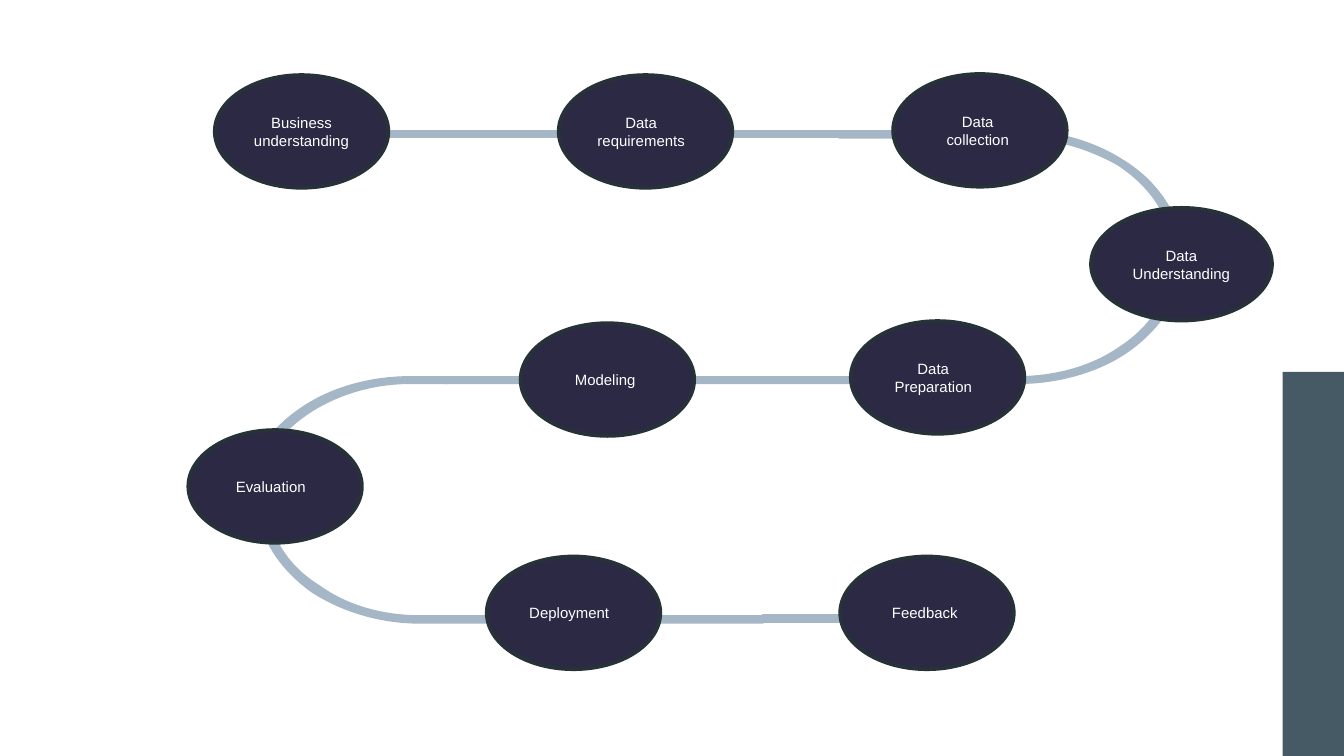
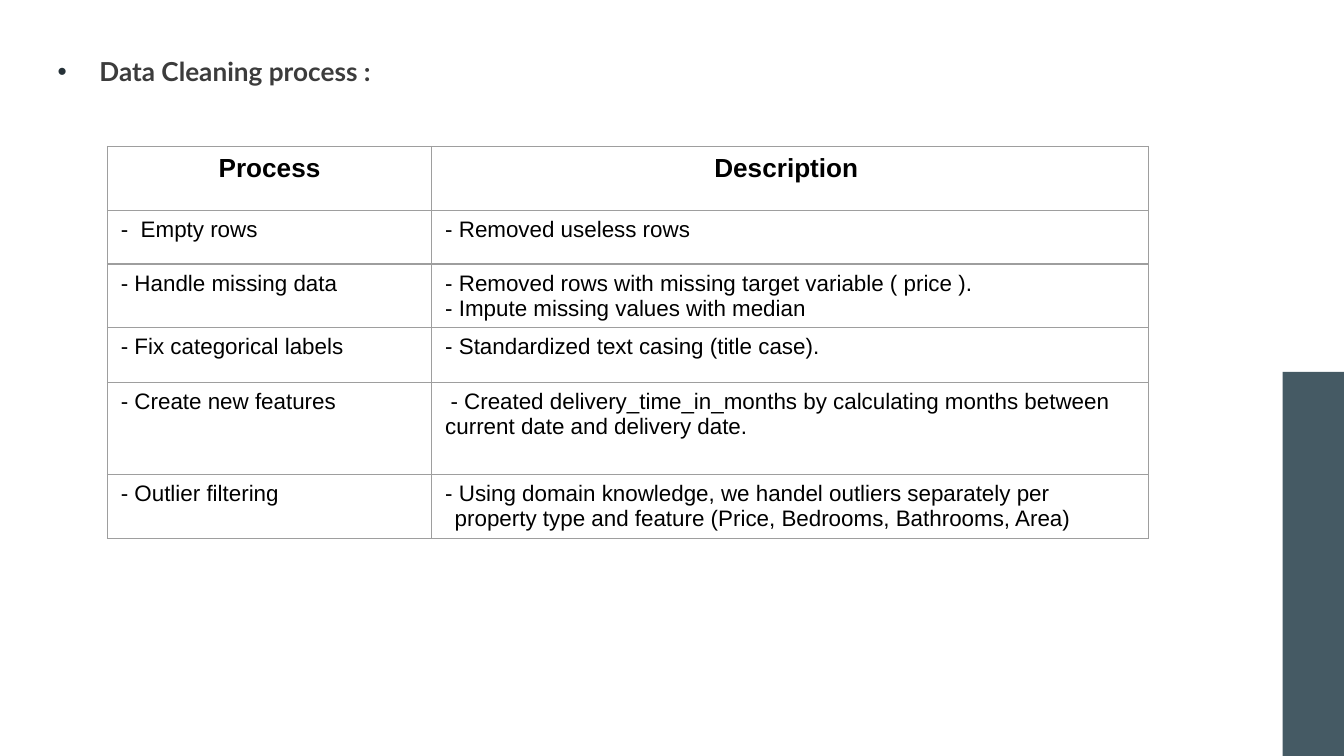
from dataclasses import dataclass
from typing import Optional

from lxml import etree
from pptx import Presentation
from pptx.dml.color import RGBColor
from pptx.enum.shapes import MSO_SHAPE as Shape
from pptx.enum.text import MSO_ANCHOR as Anchor, PP_ALIGN as Align
from pptx.oxml.ns import qn
from pptx.util import Cm, Pt

COLORS = {
    "paper": "FFFFFF",
    "bar": "455A64",
    "track": "A5B7C6",
    "oval": "2C2945",
    "outline": "263238",
    "title": "3C3C3C",
    "text": "000000",
    "border": "9E9E9E",
}
STAGE_W, STAGE_H, STAGE_INSET = 3.28, 2.13, 0.24


@dataclass
class Stage:
    label: str
    x: float
    y: float
    w: float = STAGE_W
    shift: float = 0


@dataclass
class Cell:
    lines: list[str]
    margin: float = 0
    indent: float = 0


@dataclass
class Row:
    height: float
    process: Cell
    description: Cell


@dataclass
class Corner:
    x: float
    y: float


@dataclass
class Curve:
    x1: float
    y1: float
    x2: float
    y2: float
    x: float
    y: float


STAGES = [
    Stage("Business understanding", 4.06, 1.42),
    Stage("Data requirements", 10.56, 1.42, shift=0.08),
    Stage("Data collection", 16.88, 1.4, shift=0.04),
    Stage("Data Understanding", 20.62, 3.93, 3.42),
    Stage("Data Preparation", 16.08, 6.07, shift=0.08),
    Stage("Modeling", 9.84, 6.11, shift=0.04),
    Stage("Evaluation", 3.56, 8.13, shift=0.08),
    Stage("Deployment", 9.2, 10.52, shift=0.08),
    Stage("Feedback", 15.88, 10.52, shift=0.04),
]

TRACK = [
    [Corner(5.08, 9.73), Corner(4.88, 9.73),
     Curve(4.98, 10.31, 5.36, 10.82, 5.89, 11.2),
     Curve(6.45, 11.56, 7.16, 11.79, 7.95, 11.79),
     Corner(14.43, 11.79), Corner(14.43, 11.63), Corner(7.95, 11.63),
     Curve(7.21, 11.63, 6.55, 11.43, 6.05, 11.07),
     Curve(5.51, 10.74, 5.18, 10.26, 5.08, 9.73)],
    [Corner(7.75, 7.11),
     Curve(6.99, 7.11, 6.27, 7.32, 5.74, 7.67),
     Curve(5.18, 8.03, 4.8, 8.53, 4.67, 9.09),
     Corner(4.88, 9.12),
     Curve(5, 8.59, 5.36, 8.13, 5.87, 7.8),
     Curve(6.38, 7.47, 7.04, 7.26, 7.75, 7.26),
     Corner(8.46, 7.26), Corner(8.46, 7.11)],
    [Corner(22.12, 5.21),
     Curve(22.02, 5.74, 21.67, 6.22, 21.16, 6.55),
     Curve(20.65, 6.91, 19.96, 7.11, 19.23, 7.11),
     Corner(8.41, 7.11), Corner(8.41, 7.26), Corner(19.23, 7.26),
     Curve(20.02, 7.26, 20.75, 7.04, 21.29, 6.68),
     Curve(21.84, 6.3, 22.23, 5.79, 22.33, 5.23)],
    [Corner(15.85, 2.46), Corner(15.85, 2.62), Corner(19.23, 2.62),
     Curve(19.94, 2.62, 20.57, 2.82, 21.11, 3.12),
     Curve(21.62, 3.45, 21.97, 3.89, 22.1, 4.39),
     Corner(22.3, 4.37),
     Curve(22.15, 3.84, 21.77, 3.35, 21.23, 3.02),
     Curve(20.68, 2.67, 19.99, 2.46, 19.23, 2.46)],
    [Corner(4.06, 2.46), Corner(4.06, 2.61), Corner(15.88, 2.61), Corner(15.88, 2.46)],
    [Corner(14.4, 11.61), Corner(14.4, 11.77), Corner(19.05, 11.77), Corner(19.05, 11.61)],
]

COLUMN_WIDTHS = [6.13, 13.54]
ROWS = [
    Row(1.21, Cell(["Process"]), Cell(["Description "])),
    Row(1.01, Cell(["-  Empty rows"]), Cell(["- Removed useless rows"])),
    Row(1.2, Cell(["- Handle missing data"]),
        Cell(["- Removed rows with missing target variable ( price ).",
              "- Impute missing values with median"])),
    Row(1.03, Cell(["- Fix categorical labels"]),
        Cell(["- Standardized text casing (title case)."])),
    Row(1.74, Cell(["- Create new features"]),
        Cell(["- Created delivery_time_in_months by calculating months between "
              "current date and delivery date."], indent=0.1)),
    Row(1.21, Cell(["- Outlier filtering"]),
        Cell(["- Using domain knowledge, we handel outliers separately per "
              "property type and feature (Price, Bedrooms, Bathrooms, Area)"],
             margin=0.18, indent=-0.18)),
]


def rgb(name: str) -> RGBColor:
    return RGBColor.from_string(COLORS[name])


def paint(sp, fill: str, line: Optional[str] = None) -> None:
    sp.shadow.inherit = False
    sp.fill.solid()
    sp.fill.fore_color.rgb = rgb(fill)
    if line:
        sp.line.color.rgb = rgb(line)
        sp.line.width = Pt(2)
    else:
        sp.line.fill.background()


def style(p, size: float, color: str, font: str = "Arial", bold: bool = False) -> None:
    for r in p.runs:
        r.font.name = font
        r.font.size = Pt(size)
        r.font.bold = bold
        r.font.color.rgb = rgb(color)


def set_indent(p, margin: float, indent: float):
    pPr = p._p.get_or_add_pPr()
    pPr.set("marL", str(Cm(margin)))
    pPr.set("indent", str(Cm(indent)))
    return pPr


def add_color(parent, name: str) -> None:
    etree.SubElement(parent, qn("a:srgbClr")).set("val", COLORS[name])


def new_slide(prs):
    s = prs.slides.add_slide(prs.slide_layouts[6])
    s.background.fill.solid()
    s.background.fill.fore_color.rgb = rgb("paper")
    bar = s.shapes.add_shape(Shape.RECTANGLE, Cm(24.24), Cm(7.03), Cm(1.16), Cm(7.26))
    paint(bar, "bar")
    return s


def bend(sp, steps: list) -> None:
    segments = list(sp._element.iter(qn("a:lnTo")))
    for segment, step in zip(segments, steps):
        if isinstance(step, Curve):
            segment.tag = qn("a:cubicBezTo")
            for i, (x, y) in enumerate([(step.x1, step.y1), (step.x2, step.y2)]):
                pt = etree.Element(qn("a:pt"))
                pt.set("x", str(Cm(x) - sp.left))
                pt.set("y", str(Cm(y) - sp.top))
                segment.insert(i, pt)


def add_track(s) -> None:
    group = s.shapes.add_group_shape()
    for start, *steps in TRACK:
        builder = group.shapes.build_freeform(Cm(start.x), Cm(start.y))
        builder.add_line_segments([(Cm(p.x), Cm(p.y)) for p in steps], close=True)
        sp = builder.convert_to_shape()
        bend(sp, steps)
        paint(sp, "track")


def add_stage(s, stage: Stage) -> None:
    sp = s.shapes.add_shape(Shape.OVAL, Cm(stage.x), Cm(stage.y), Cm(stage.w), Cm(STAGE_H))
    paint(sp, "oval", "outline")
    tf = sp.text_frame
    tf.word_wrap = True
    tf.vertical_anchor = Anchor.MIDDLE
    tf.margin_left = Cm(STAGE_INSET - stage.shift)
    tf.margin_right = Cm(STAGE_INSET + stage.shift)
    tf.text = stage.label
    p = tf.paragraphs[0]
    p.alignment = Align.CENTER
    style(p, 8, "paper")


def add_heading(s, text: str) -> None:
    tf = s.shapes.add_textbox(Cm(0.84), Cm(0.58), Cm(21.03), Cm(13.44)).text_frame
    tf.word_wrap = True
    tf.vertical_anchor = Anchor.TOP
    tf.margin_left = tf.margin_right = tf.margin_bottom = Cm(0.25)
    tf.margin_top = Cm(0.59)
    tf.text = text
    p = tf.paragraphs[0]
    style(p, 14, "title", "Lato", True)
    pPr = set_indent(p, 0.79, -0.79)
    add_color(etree.SubElement(pPr, qn("a:buClr")), "outline")
    etree.SubElement(pPr, qn("a:buFont")).set("typeface", "Arial")
    etree.SubElement(pPr, qn("a:buChar")).set("char", "•")


def add_borders(cell) -> None:
    tcPr = cell._tc.get_or_add_tcPr()
    for side in ("lnL", "lnR", "lnT", "lnB"):
        ln = etree.SubElement(tcPr, qn(f"a:{side}"))
        ln.set("w", str(Pt(0.75)))
        add_color(etree.SubElement(ln, qn("a:solidFill")), "border")


def fill_cell(cell, content: Cell, header: bool) -> None:
    add_borders(cell)
    cell.fill.background()
    cell.margin_bottom = Cm(0.06)
    cell.text_frame.text = "\n".join(content.lines)
    for p in cell.text_frame.paragraphs:
        set_indent(p, content.margin, content.indent)
        if header:
            p.alignment = Align.CENTER
        style(p, 14 if header else 12, "text", bold=header)


def add_cleaning_table(s) -> None:
    frame = s.shapes.add_table(
        len(ROWS), len(COLUMN_WIDTHS), Cm(2.03), Cm(2.77),
        Cm(sum(COLUMN_WIDTHS)), Cm(sum(row.height for row in ROWS)))
    table = frame.table
    table.first_row = table.horz_banding = False
    for column, width in zip(table.columns, COLUMN_WIDTHS):
        column.width = Cm(width)
    for i, row in enumerate(ROWS):
        table.rows[i].height = Cm(row.height)
        for j, content in enumerate((row.process, row.description)):
            fill_cell(table.cell(i, j), content, header=i == 0)


def main() -> None:
    prs = Presentation()
    prs.slide_width, prs.slide_height = Cm(25.4), Cm(14.29)

    s = new_slide(prs)
    add_track(s)
    for stage in STAGES:
        add_stage(s, stage)

    s = new_slide(prs)
    add_heading(s, "Data Cleaning process :")
    add_cleaning_table(s)

    prs.save("out.pptx")


if __name__ == "__main__":
    main()
